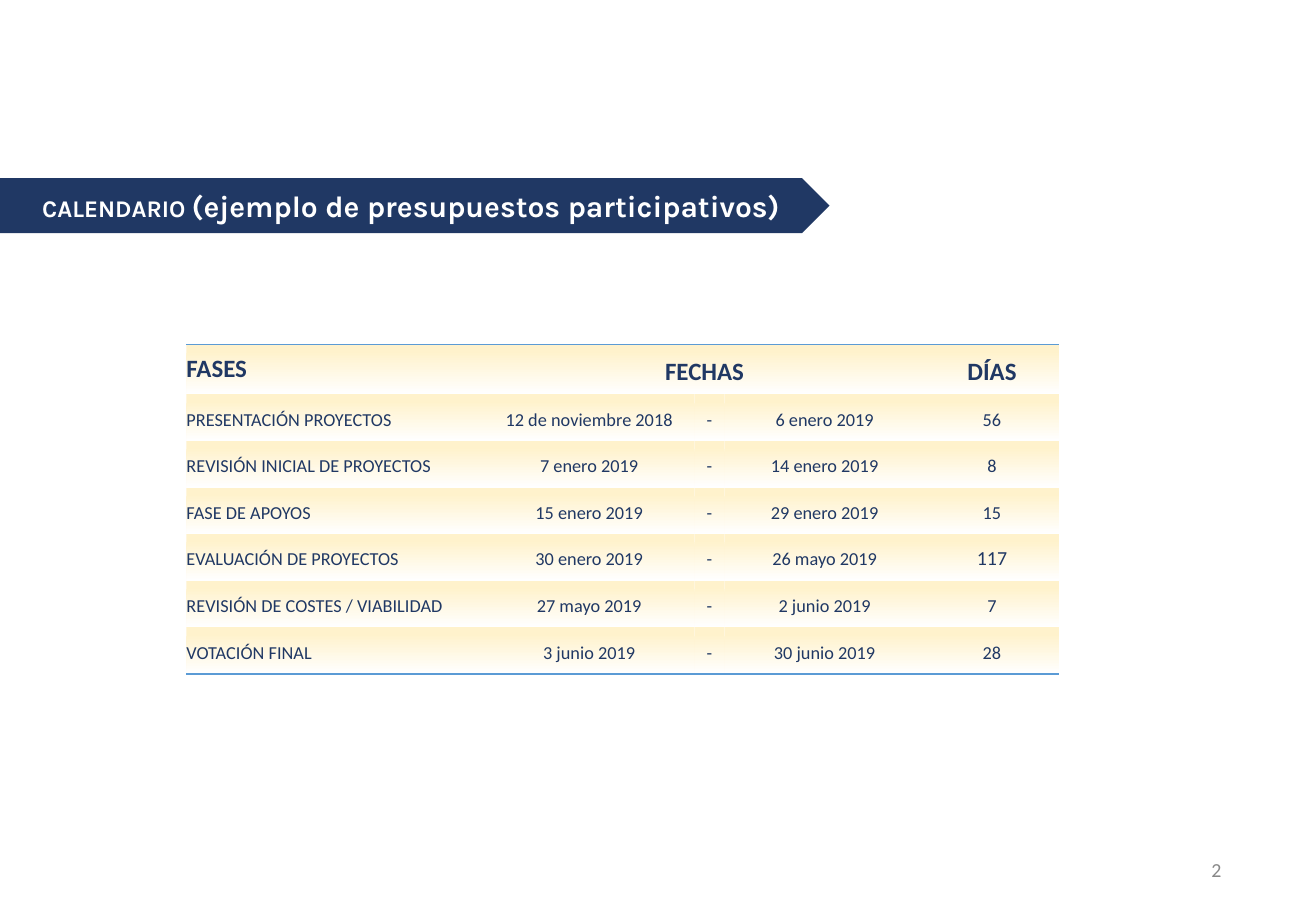
from pptx import Presentation
from pptx.dml.color import RGBColor
from pptx.enum.shapes import MSO_SHAPE
from pptx.enum.text import MSO_ANCHOR, MSO_AUTO_SIZE, PP_ALIGN
from pptx.oxml import parse_xml
from pptx.oxml.ns import nsdecls
from pptx.util import Inches, Pt

NAVY = RGBColor(0x20, 0x38, 0x64)
CREAM = RGBColor(0xFF, 0xF2, 0xCC)
WHITE = RGBColor(0xFF, 0xFF, 0xFF)
GREY = RGBColor(0x88, 0x88, 0x88)
BLUE = RGBColor(0x5B, 0x9B, 0xD5)
LEFT, CENTER, RIGHT = PP_ALIGN.LEFT, PP_ALIGN.CENTER, PP_ALIGN.RIGHT
MIDDLE = MSO_ANCHOR.MIDDLE
NO_STYLE = "{2D5ABB26-0587-4C30-8999-92F81FD0307C}"

HEADS = ["FASES", "FECHAS", "", "", "DÍAS"]
PHASES = [
    ("PRESENTACIÓN PROYECTOS", "12 de noviembre 2018", "6 enero 2019", 56),
    ("REVISIÓN INICIAL DE PROYECTOS", "7 enero 2019", "14 enero 2019", 8),
    ("FASE DE APOYOS", "15 enero 2019", "29 enero 2019", 15),
    ("EVALUACIÓN DE PROYECTOS", "30 enero 2019", "26 mayo 2019", 117),
    ("REVISIÓN DE COSTES / VIABILIDAD", "27 mayo 2019", "2 junio 2019", 7),
    ("VOTACIÓN FINAL", "3 junio 2019", "30 junio 2019", 28),
]
WIDTHS = [2.49, 1.76, 0.25, 1.68, 1.12]
HEAD_H, ROW_H = 0.42, 0.39


def add_run(para, text, size, color, font="Calibri", bold=False):
    run = para.add_run()
    run.text = text
    run.font.name, run.font.size, run.font.bold = font, Pt(size), bold
    run.font.color.rgb = color
    return run


def add_rule(cell, side):
    rule = parse_xml(
        f'<a:{side} {nsdecls("a")} w="12700"><a:solidFill>'
        f'<a:srgbClr val="{BLUE}"/></a:solidFill></a:{side}>')
    cell._tc.get_or_add_tcPr().insert(0, rule)


deck = Presentation()
deck.slide_width, deck.slide_height = Inches(11.01), Inches(7.62)
slide = deck.slides.add_slide(deck.slide_layouts[5])
shapes = slide.shapes

# Banner, placed behind the title
banner = shapes.add_shape(MSO_SHAPE.PENTAGON, 0, Inches(1.49),
                          Inches(6.94), Inches(0.46))
banner.shadow.inherit = False
banner.fill.solid()
banner.fill.fore_color.rgb = NAVY
banner.line.fill.background()

title = shapes.title
banner._element.addnext(title._element)
title.left, title.top = 0, Inches(1.31)
title.width, title.height = Inches(6.83), Inches(0.82)
frame = title.text_frame
frame.auto_size = MSO_AUTO_SIZE.NONE
frame.word_wrap = True
frame.vertical_anchor = MIDDLE
frame.margin_left, frame.margin_right = Inches(0.1), Inches(0.05)
para = frame.paragraphs[0]
para.alignment = CENTER
small = add_run(para, "calendario ", 18, WHITE, "Karla", True)
small.font._element.set("cap", "small")
add_run(para, "(ejemplo de presupuestos participativos)", 18, WHITE, "Karla", True)

# Calendar table
rows = [HEADS] + [(name, start, "-", end, str(days))
                  for name, start, end, days in PHASES]
last = len(rows) - 1
holder = shapes.add_table(len(rows), len(WIDTHS), Inches(1.56), Inches(2.88),
                          Inches(sum(WIDTHS)), Inches(HEAD_H + last * ROW_H))
table = holder.table
table.first_row = table.horz_banding = False
holder._element.graphic.graphicData.tbl.tblPr.find(
    "{*}tableStyleId").text = NO_STYLE
for col, width in zip(table.columns, WIDTHS):
    col.width = Inches(width)

for r, texts in enumerate(rows):
    table.rows[r].height = Inches(ROW_H if r else HEAD_H)
    for c, text in enumerate(texts):
        cell = table.cell(r, c)
        cell.vertical_anchor = MIDDLE
        cell.margin_left = cell.margin_right = 0
        cell.margin_top = cell.margin_bottom = 0
        cell.fill.gradient()
        cell.fill.gradient_angle = 270
        for stop, place, color in zip(cell.fill.gradient_stops,
                                      (0.14, 1), (CREAM, WHITE)):
            stop.position, stop.color.rgb = place, color
        if r == 0:
            add_rule(cell, "lnT")
        if r == last:
            add_rule(cell, "lnB")
        para = cell.text_frame.paragraphs[0]
        para.alignment = CENTER if c else LEFT
        para.space_before = Pt(7 if r else 6)
        if r:
            para.line_spacing = Pt(16)
        elif c:
            para.line_spacing = 1.2
        if text:
            size = 15 if r == 0 else 12 if text == "117" else 11
            add_run(para, text, size, NAVY, bold=r == 0)
table.cell(0, 1).merge(table.cell(0, 3))

# Page number
page = shapes.add_textbox(Inches(10.07), Inches(7.13), Inches(0.2), Inches(0.29))
frame = page.text_frame
frame.word_wrap = False
frame.vertical_anchor = MIDDLE
frame.margin_left = frame.margin_right = Inches(0.05)
frame.margin_top = frame.margin_bottom = Inches(0.05)
frame.paragraphs[0].alignment = RIGHT
add_run(frame.paragraphs[0], "2", 12, GREY)

deck.save("out.pptx")
